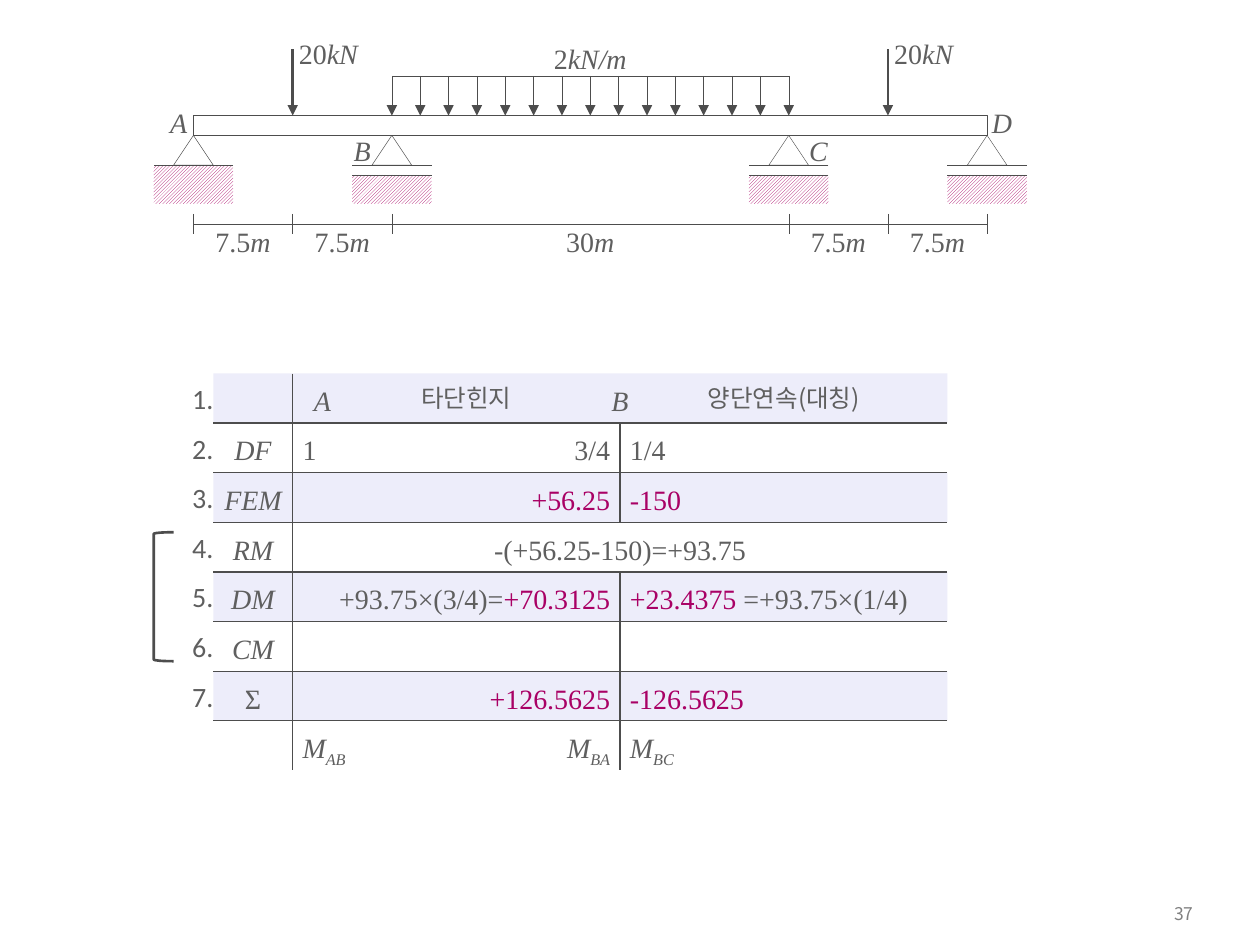
from lxml.etree import SubElement
from pptx import Presentation
from pptx.dml.color import RGBColor
from pptx.enum.dml import MSO_PATTERN
from pptx.enum.shapes import MSO_CONNECTOR, MSO_SHAPE
from pptx.enum.text import MSO_ANCHOR, PP_ALIGN
from pptx.oxml.ns import qn
from pptx.util import Inches, Mm, Pt

INK = RGBColor(0x4D, 0x4D, 0x4D)
TEXT = RGBColor(0x5F, 0x5F, 0x5F)
ACCENT = RGBColor(0xA9, 0x01, 0x65)
BAND = RGBColor(0xD2, 0xD2, 0xF4)
GRAY = RGBColor(0x80, 0x80, 0x80)
WHITE = RGBColor(0xFF, 0xFF, 0xFF)
SERIF, SANS, KOREAN = "Times New Roman", "Calibri", "Noto Sans CJK KR"
LEFT, CENTER, RIGHT = PP_ALIGN.LEFT, PP_ALIGN.CENTER, PP_ALIGN.RIGHT


class Sheet:
    """Draws on a slide with a 2 mm grid whose origin is the beam's top left corner."""

    step, left, top = 2, 39, 23.3

    def __init__(self, s):
        self.s = s
        self.shapes = s.shapes

    def group(self):
        self.shapes = self.s.shapes.add_group_shape().shapes

    def x(self, col):
        return Mm(self.left + self.step * col)

    def y(self, row):
        return Mm(self.top + self.step * row)

    def box(self, col, row, w, h):
        return self.x(col), self.y(row), Mm(self.step * w), Mm(self.step * h)

    def shape(self, kind, col, row, w, h, weight=None):
        sp = self.shapes.add_shape(kind, *self.box(col, row, w, h))
        sp.shadow.inherit = False
        sp.fill.background()
        if weight:
            sp.line.color.rgb = INK
            sp.line.width = Pt(weight)
        else:
            sp.line.fill.background()
        return sp

    def hatch(self, col, row, w, h):
        fill = self.shape(MSO_SHAPE.RECTANGLE, col, row, w, h).fill
        fill.patterned()
        fill.pattern = MSO_PATTERN.LIGHT_UPWARD_DIAGONAL
        fill.fore_color.rgb = ACCENT
        fill.back_color.rgb = WHITE

    def band(self, col, row, w, h):
        sp = self.shape(MSO_SHAPE.RECTANGLE, col, row, w, h)
        sp.fill.solid()
        sp.fill.fore_color.rgb = BAND
        color = sp._element.spPr.find(qn("a:solidFill")).find(qn("a:srgbClr"))
        SubElement(color, qn("a:alpha")).set("val", "40000")

    def line(self, x1, y1, x2, y2, weight=0.25, arrow=False):
        cxn = self.shapes.add_connector(
            MSO_CONNECTOR.STRAIGHT, self.x(x1), self.y(y1), self.x(x2), self.y(y2))
        cxn.line.color.rgb = INK
        cxn.line.width = Pt(weight)
        if arrow:
            ln = cxn.line._get_or_add_ln()
            SubElement(ln, qn("a:tailEnd")).set("type", "triangle")
        SubElement(cxn._element.spPr, qn("a:effectLst"))
        return cxn

    def text(self, col, row, w, *runs, align=CENTER, font=SERIF, size=16, h=3.4):
        """Write runs of (text, marks): i italic, a accent colour, s subscript."""
        tf = self.shapes.add_textbox(*self.box(col, row, w, h)).text_frame
        tf.margin_left = tf.margin_right = tf.margin_top = tf.margin_bottom = 0
        tf.word_wrap = False
        p = tf.paragraphs[0]
        p.alignment = align
        for words, marks in runs:
            r = p.add_run()
            r.text = words
            self.style(r, font, size, ACCENT if "a" in marks else TEXT)
            if "i" in marks:
                r.font.italic = True
            if "s" in marks:
                r.font._element.set("baseline", "-25000")
        return tf

    def style(self, r, font, size, color):
        r.font.size = Pt(size)
        r.font.color.rgb = color
        r.font.name = font
        SubElement(r.font._element, qn("a:ea")).set("typeface", font)

    def number(self, row, words):
        tf = self.text(-2, row, 4, (words, ""), align=RIGHT, font=SANS, h=3)
        tf.word_wrap = True
        tf.vertical_anchor = MSO_ANCHOR.MIDDLE

    def support(self, col, roller=True):
        self.hatch(col - 4, 5 + roller, 8, 3.9 - roller)
        for row in (5, 6)[:1 + roller]:
            self.line(col + 4, row, col - 4, row)
        self.shape(MSO_SHAPE.ISOSCELES_TRIANGLE, col - 2, 2, 4, 3, 0.25)

    def page_number(self, prs, words):
        w, h = prs.slide_width, prs.slide_height
        tf = self.s.shapes.add_textbox(
            int(w * 0.886), int(h * 0.945), int(w * 0.071), int(h * 0.044)).text_frame
        tf.word_wrap = True
        tf.vertical_anchor = MSO_ANCHOR.MIDDLE
        p = tf.paragraphs[0]
        p.text = words
        p.alignment = RIGHT
        self.style(p.runs[0], KOREAN, 10, GRAY)


def draw_beam(sheet):
    sheet.group()
    beam = sheet.shape(MSO_SHAPE.RECTANGLE, 0, 0, 80, 2, 0.25)
    for col in (0, 20, 60, 80):
        sheet.support(col, roller=col > 0)
    for col, row, w, name in ((-3, -1, 3, "A"), (15, 1.8, 4, "B"),
                              (61, 1.8, 4, "C"), (80, -1, 3, "D")):
        sheet.text(col, row, w, (name, "i"))

    for col in (10, 70):
        sheet.line(col, -6.7, col, 0, 1.5, arrow=True)
        sheet.text(col + 0.1, -8, 7, ("20", ""), ("kN", "i"))
    spaces = 14
    sheet.line(60, -4, 20, -4)
    for i in range(spaces + 1):
        col = 20 + 40 * i / spaces
        cxn = sheet.line(col, -4, col, 0, arrow=True)
        if col == 40:
            cxn.end_connect(beam, 0)
    sheet.text(36, -7.5, 8, ("2", ""), ("kN/m", "i"))

    ticks = (0, 10, 20, 60, 70, 80)
    sheet.line(0, 10.9, 80, 10.9)
    for col in ticks:
        sheet.line(col, 9.9, col, 11.9)
    for start, end in zip(ticks, ticks[1:]):
        length = f"{(end - start) * 0.75:g}"
        sheet.text((start + end) / 2 - 3, 11, 6, (length, ""), ("m", "i"))


def draw_table(sheet):
    sheet.group()
    top, pitch = 26, 5
    rows = [top + pitch * i for i in range(9)]
    for row in rows[:8:2]:
        sheet.band(2, row, 74, pitch)
    for row in rows[1:8]:
        sheet.line(2, row, 76, row, 0.75)
    for col, first, last in ((10, 0, 8), (43, 1, 3), (43, 4, 8)):
        sheet.line(col, rows[first], col, rows[last], 0.75)

    for i, row in enumerate(rows[:7], 1):
        sheet.number(row + 1, f"{i}.")
    for row, name in zip(rows[1:], ("DF", "FEM", "RM", "DM", "CM", "Ʃ")):
        sheet.text(2, row + 1, 8, (name, "" if name == "Ʃ" else "i"))
    for col, name in ((11, "A"), (41, "B")):
        sheet.text(col, rows[0] + 1, 4, (name, "i"))
    for col, w, words in ((21, 13, "타단힌지"), (49, 21, "양단연속(대칭)")):
        sheet.text(col, rows[0] + 1, w, (words, ""), font=KOREAN, size=14)
    sheet.text(29, rows[3] + 1, 28, ("-(+56.25-150)=+93.75", ""))

    at_a = ((1, 4, [("1", "")]), (7, 8, [("M", "i"), ("AB", "is")]))
    before_b = (
        (1, 6, [("3/4", "")]),
        (2, 10, [("+56.25", "a")]),
        (4, 30, [("+93.75×(3/4)=", ""), ("+70.3125", "a")]),
        (6, 15, [("+126.5625", "a")]),
        (7, 8, [("M", "i"), ("BA", "is")]))
    after_b = (
        (1, 7, [("1/4", "")]),
        (2, 7, [("-150", "a")]),
        (4, 31, [("+23.4375", "a"), (" =+93.75×(1/4)", "")]),
        (6, 15, [("-126.5625", "a")]),
        (7, 8, [("M", "i"), ("BC", "is")]))
    for edge, align, cells in ((11, LEFT, at_a), (42, RIGHT, before_b), (44, LEFT, after_b)):
        for i, w, runs in cells:
            col = edge - w if align == RIGHT else edge
            sheet.text(col, rows[i] + 1, w, *runs, align=align)
    sheet.shape(MSO_SHAPE.LEFT_BRACKET, -4, rows[3] + 1, 2, 13, 1.5)


def main():
    prs = Presentation()
    prs.slide_width, prs.slide_height = Inches(10), Inches(7.5)
    sheet = Sheet(prs.slides.add_slide(prs.slide_layouts[6]))
    sheet.page_number(prs, "37")
    draw_beam(sheet)
    draw_table(sheet)
    prs.save("out.pptx")


if __name__ == "__main__":
    main()
